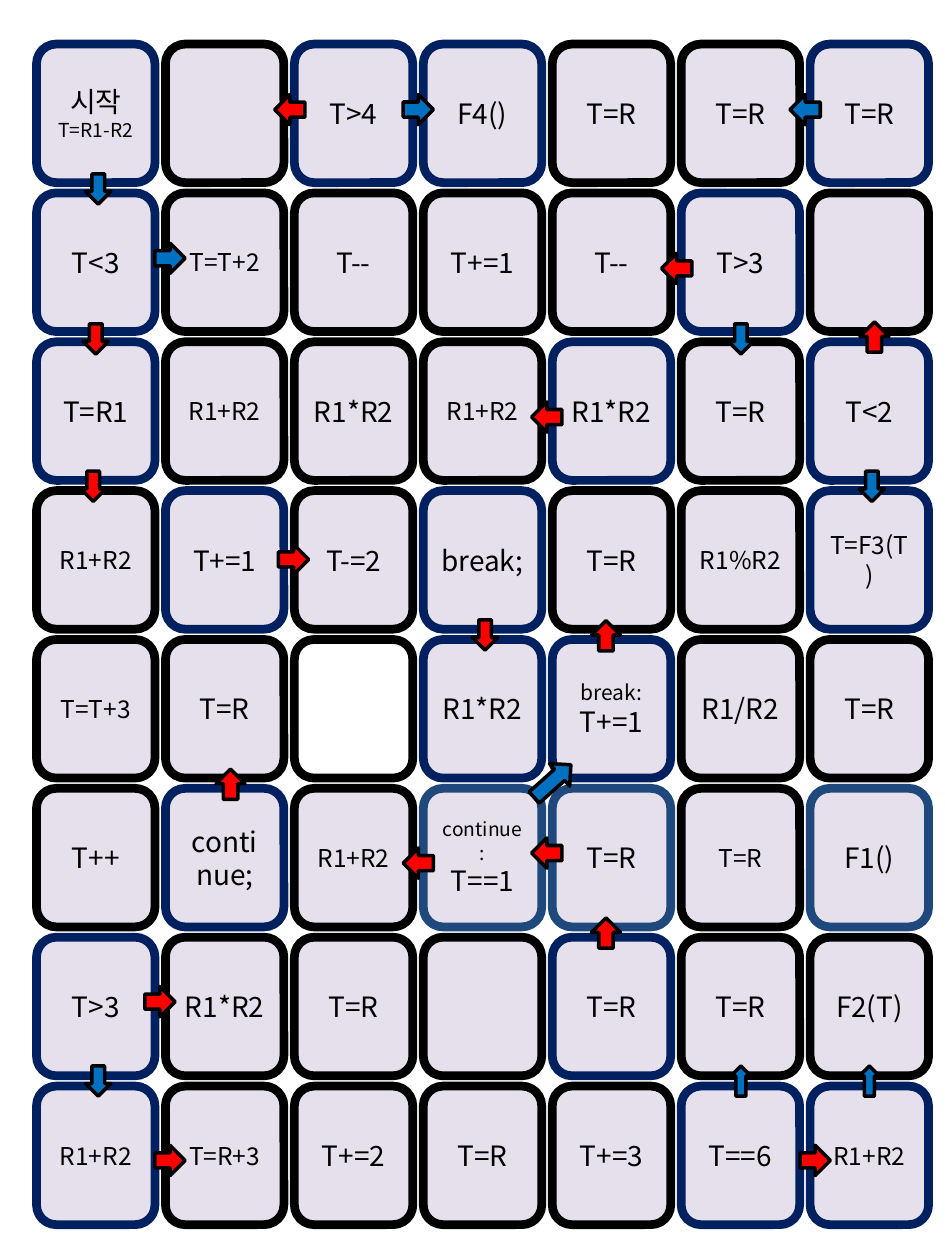
from lxml import etree
from pptx import Presentation
from pptx.dml.color import RGBColor
from pptx.enum.shapes import MSO_SHAPE
from pptx.enum.text import MSO_ANCHOR, PP_ALIGN
from pptx.oxml.ns import qn
from pptx.util import Inches, Pt

ROUND_RECT = MSO_SHAPE.ROUNDED_RECTANGLE
RIGHT_ARROW = MSO_SHAPE.RIGHT_ARROW
MIDDLE = MSO_ANCHOR.MIDDLE
CENTER = PP_ALIGN.CENTER

FONT = "Noto Sans CJK KR"
BLACK = RGBColor(0x00, 0x00, 0x00)
WHITE = RGBColor(0xFF, 0xFF, 0xFF)
LILAC = RGBColor(0xE6, 0xE0, 0xEC)
NAVY = RGBColor(0x00, 0x20, 0x60)
STEEL = RGBColor(0x1F, 0x49, 0x7D)
BLUE = RGBColor(0x00, 0x70, 0xC0)
RED = RGBColor(0xFF, 0x00, 0x00)

BORDER_COLORS = {"K": BLACK, "N": NAVY, "S": STEEL}
BORDERS = [
    "NKNNKKN",
    "NKKKKNK",
    "NKKKNKN",
    "KNKNKKN",
    "KKKNNKK",
    "KNKSSKS",
    "NKKKNKK",
    "NKKKKNN",
]
CELLS = [
    ["시작\nT=R1-R2", "", "T>4", "F4()", "T=R", "T=R", "T=R"],
    ["T<3", "T=T+2", "T--", "T+=1", "T--", "T>3", ""],
    ["T=R1", "R1+R2", "R1*R2", "R1+R2", "R1*R2", "T=R", "T<2"],
    ["R1+R2", "T+=1", "T-=2", "break;", "T=R", "R1%R2", "T=F3(T)"],
    ["T=T+3", "T=R", "", "R1*R2", "break:\nT+=1", "R1/R2", "T=R"],
    ["T++", "continue;", "R1+R2", "continue:\nT==1", "T=R", "T=R", "F1()"],
    ["T>3", "R1*R2", "T=R", "", "T=R", "T=R", "F2(T)"],
    ["R1+R2", "T=R+3", "T+=2", "T=R", "T+=3", "T==6", "R1+R2"],
]
TEXT_SIZES = {
    "T=R1-R2": 11, "continue:": 11, "break:": 12,
    "R1+R2": 14, "R1%R2": 14, "T=T+2": 14, "T=T+3": 14, "T=R+3": 14, "T=F3(T)": 14,
}
SMALL_CELL = (5, 5)
WHITE_CELL = (4, 2)

RIGHT, DOWN, LEFT, UP = 0, 90, 180, 270
THICKNESS = {RIGHT: 0.24, DOWN: 0.2, LEFT: 0.24, UP: 0.23}
ARROWS = [
    (RIGHT, BLUE, [(3.2, 0.75), (1.23, 1.93)]),
    (RIGHT, RED, [(2.21, 4.32), (1.15, 7.83), (6.35, 9.09), (1.23, 9.09)]),
    (DOWN, BLUE, [(0.66, 8.48), (5.76, 2.59), (6.8, 3.76), (0.66, 1.4)]),
    (DOWN, RED, [(0.62, 3.76), (0.64, 2.59), (3.73, 4.94)]),
    (LEFT, BLUE, [(6.27, 0.75)]),
    (LEFT, RED, [(4.22, 3.19), (2.18, 0.75), (4.22, 6.65), (5.25, 2.01), (3.2, 6.73)]),
    (UP, RED, [(4.69, 4.93), (6.82, 2.56), (1.71, 6.11), (4.69, 7.29)]),
]
THIN_UP_ARROWS = [(5.76, 8.5), (6.78, 8.5)]


def add_block(s, kind, box, fill, line, width):
    sp = s.shapes.add_shape(kind, *[Inches(v) for v in box])
    sp.shadow.inherit = False
    sp.fill.solid()
    sp.fill.fore_color.rgb = fill
    sp.line.color.rgb = line
    sp.line.width = Pt(width)
    return sp


def add_text(sp, text, small):
    tf = sp.text_frame
    tf.word_wrap = True
    tf.vertical_anchor = MIDDLE
    for i, line in enumerate(text.split("\n")):
        p = tf.add_paragraph() if i else tf.paragraphs[0]
        p.alignment = CENTER
        r = p.add_run()
        r.text = line
        r.font.name = FONT
        r.font.size = Pt(14 if small else TEXT_SIZES.get(line, 16))
        r.font.color.rgb = BLACK
        etree.SubElement(r.font._element, qn("a:ea"), typeface=FONT)


def add_board(s, left, top, width, height):
    cell_w, cell_h = 0.94, 1.1
    step_x = (width - cell_w) / (len(CELLS[0]) - 1)
    step_y = (height - cell_h) / (len(CELLS) - 1)
    for row, texts in enumerate(CELLS):
        for col, text in enumerate(texts):
            box = (left + col * step_x, top + row * step_y, cell_w, cell_h)
            fill = WHITE if (row, col) == WHITE_CELL else LILAC
            sp = add_block(s, ROUND_RECT, box, fill, BORDER_COLORS[BORDERS[row][col]], 5)
            if text:
                add_text(sp, text, (row, col) == SMALL_CELL)


def add_arrow(s, left, top, width, height, rotation, color):
    sp = add_block(s, RIGHT_ARROW, (left, top, width, height), color, BLACK, 2)
    sp.rotation = rotation


def add_arrows(s):
    for rotation, color, places in ARROWS:
        for left, top in places:
            add_arrow(s, left, top, 0.24, THICKNESS[rotation], rotation, color)
    for left, top in THIN_UP_ARROWS:
        add_arrow(s, left, top, 0.24, 0.16, UP, BLUE)
    add_arrow(s, 4.19, 6.08, 0.39, 0.24, 318.2, BLUE)


def main():
    prs = Presentation()
    prs.slide_width = Inches(7.5)
    prs.slide_height = Inches(10)
    s = prs.slides.add_slide(prs.slide_layouts[6])
    add_board(s, 0.29, 0.35, 7.08, 9.37)
    add_arrows(s)
    prs.save("out.pptx")


if __name__ == "__main__":
    main()
